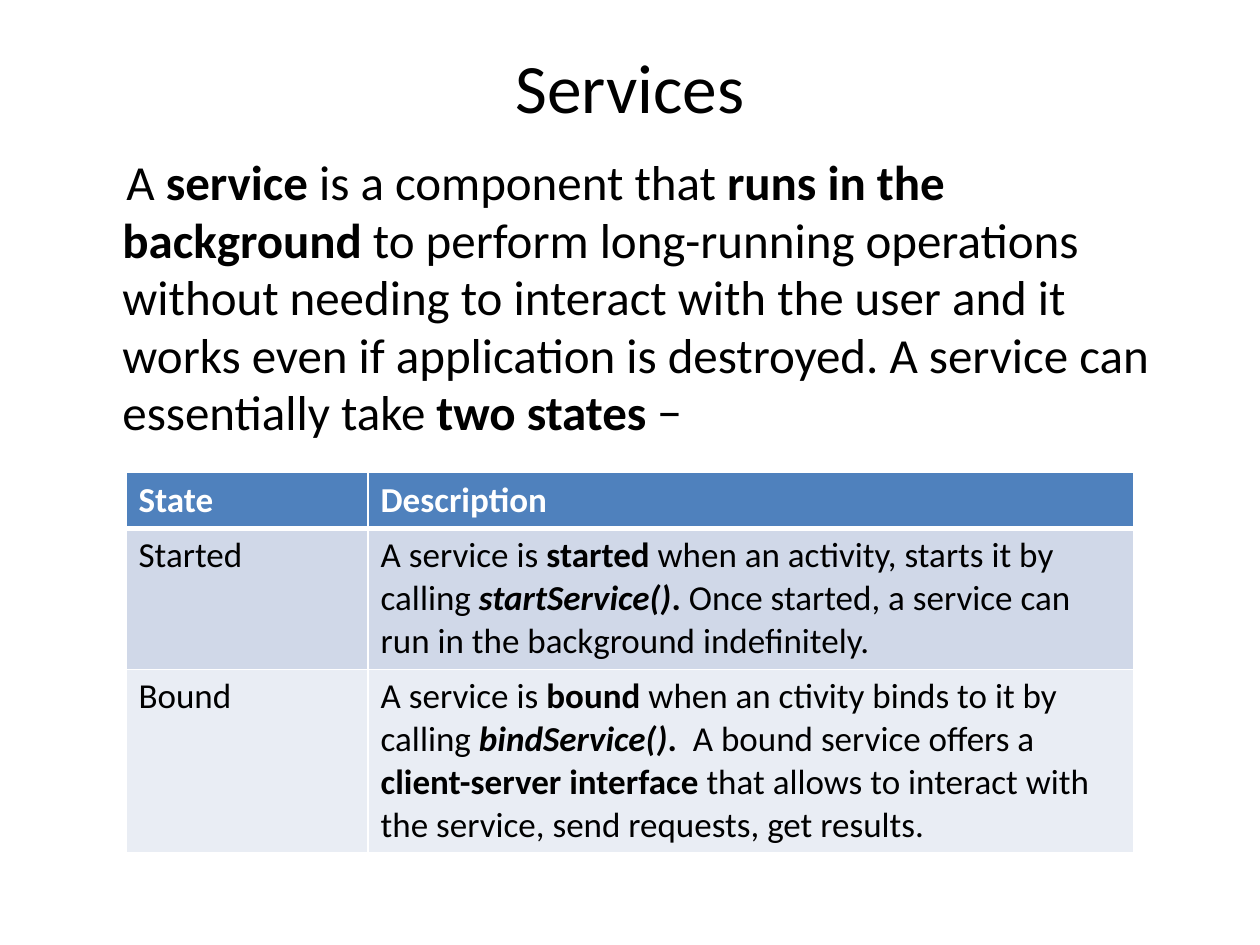
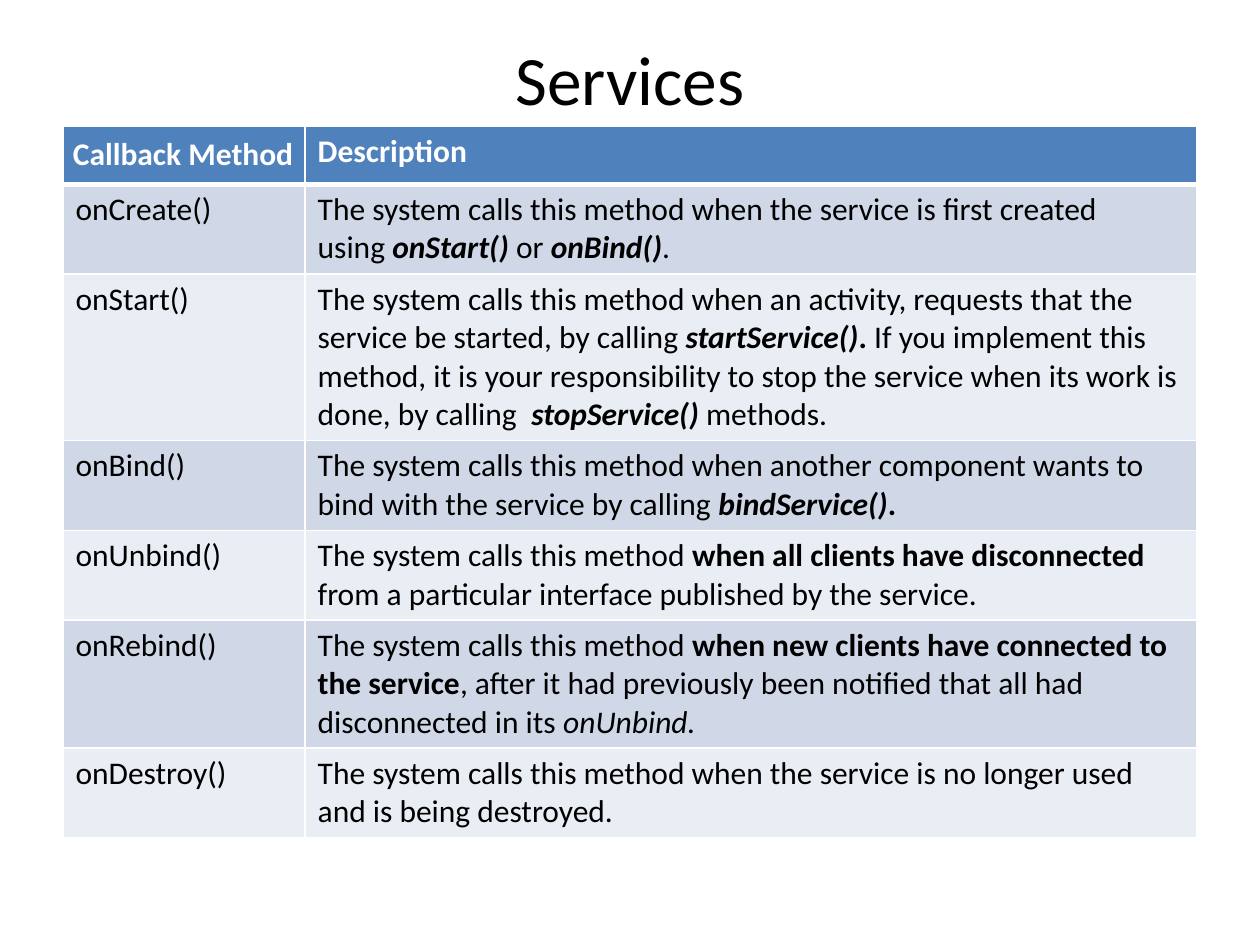
from dataclasses import dataclass

from lxml.etree import SubElement
from pptx import Presentation
from pptx.dml.color import RGBColor as Rgb
from pptx.enum.text import MSO_ANCHOR as Anchor, PP_ALIGN as Align
from pptx.oxml.ns import qn
from pptx.util import Cm, Pt

# Content: a run is plain text or (text, style); "~" stands for a no-break space
INTRO = [
    "A ", ("service", "b"), "~is a component that ", ("runs in the background ", "b"),
    "to perform long-running operations without needing to interact with the user "
    "and it works even if application is destroyed. A service can essentially take ",
    ("two states ", "b"), "−",
]

# Body rows: first cell, description runs, lines the description fills
STATES = [
    ("Started", [
        "A service is~", ("started", "b"), "~when an activity, starts it by calling~",
        ("startService()", "bi"), (".", "b"),
        "~Once started, a service can run in the background indefinitely."], 3),
    ("Bound", [
        "A service is~", ("bound", "b"), "~when an ctivity binds to it by calling~",
        ("bindService()", "bi"), (".~ ", "b"), "A bound service offers a ",
        ("client-server interface ", "b"),
        "that allows to interact with the service, send requests, get results."], 4),
]

CALLBACKS = [
    ("onCreate()", [
        "The system calls this method when the service is first created using~",
        ("onStart()", "bi"), "~or~", ("onBind()", "bi"), "."], 2),
    ("onStart()", [
        "The system calls this method~when an activity, requests that the service "
        "be started, by calling~", ("startService()", "bi"), (". ", "b"),
        "If you implement this method, it is your responsibility to stop the service "
        "when its work is done, by calling~~", ("stopService()", "bi"), "~methods."], 4),
    ("onBind()", [
        "The system calls this method when another component wants to bind with the "
        "service by calling~", ("bindService()", "bi"), (".", "b")], 2),
    ("onUnbind()", [
        "The system calls this method ", ("when all clients have disconnected ", "b"),
        "from a particular interface published by the service."], 2),
    ("onRebind()", [
        "The system calls this method ",
        ("when new clients have connected to the service", "b"),
        ", after it had previously been notified that all had disconnected in its~",
        ("onUnbind.", "i")], 3),
    ("onDestroy()", [
        "The system calls this method when the service is no longer used "
        "and is being destroyed."], 2),
]

# Lengths in cm
SLIDES = [
    {"title": "Services", "title_top": 0.89, "intro": INTRO,
     "table": {"heads": ("State", "Description"), "rows": STATES, "size": 20,
               "left": 2.54, "top": 9.53, "columns": (4.88, 15.44), "head_pad": None}},
    {"title": "Services", "title_top": 0.74, "intro": None,
     "table": {"heads": ("Callback Method", "Description"), "rows": CALLBACKS, "size": 18,
               "left": 1.27, "top": 2.54, "columns": (4.88, 17.98), "head_pad": 0.2}},
]


@dataclass(frozen=True)
class Theme:
    font: str = "Calibri"
    ink: str = "000000"
    paper: str = "FFFFFF"
    head: str = "4F81BD"
    bands: tuple = ("D0D8E8", "E9EDF4")
    title_size: float = 39.6
    intro_size: float = 28
    leading: float = 1.22
    rule: float = 1
    head_rule: float = 3


THEME = Theme()
MARGIN, TEXT_WIDTH = 1.27, 22.86
TITLE_BOTTOM, INTRO_TOP, INTRO_HEIGHT = 3.94, 2.74, 14.27
CELL_PAD = 0.13
CM_PER_PT = 2.54 / 72


def apply_formats(target, formats):
    for name, value in formats.items():
        setattr(target, name, value)


def write_runs(paragraph, runs, size, color=THEME.ink):
    for part in runs:
        words, style = (part, "") if isinstance(part, str) else part
        run = paragraph.add_run()
        run.text = words.replace("~", chr(160))
        apply_formats(run.font, {"name": THEME.font, "size": Pt(size),
                                 "bold": "b" in style, "italic": "i" in style})
        run.font.color.rgb = Rgb.from_string(color)


def add_text(slide, top, height, runs, size, frame_formats, paragraph_formats):
    frame = slide.shapes.add_textbox(
        Cm(MARGIN), Cm(top), Cm(TEXT_WIDTH), Cm(height)).text_frame
    apply_formats(frame, {"word_wrap": True, **frame_formats})
    paragraph = frame.paragraphs[0]
    apply_formats(paragraph, paragraph_formats)
    write_runs(paragraph, runs, size)
    return paragraph


def draw_border(cell, side, width):
    line = SubElement(cell._tc.get_or_add_tcPr(), qn(f"a:ln{side}"), w=str(Pt(width)))
    fill = SubElement(line, qn("a:solidFill"))
    SubElement(fill, qn("a:srgbClr"), val=THEME.paper)


def fill_cell(cell, runs, size, color, back, row):
    widths = {"L": THEME.rule, "R": THEME.rule,
              "T": THEME.head_rule if row == 1 else THEME.rule,
              "B": THEME.head_rule if row == 0 else THEME.rule}
    for side, width in widths.items():
        draw_border(cell, side, width)
    cell.fill.solid()
    cell.fill.fore_color.rgb = Rgb.from_string(back)
    write_runs(cell.text_frame.paragraphs[0], runs, size, color)


def add_service_table(slide, heads, rows, size, left, top, columns, head_pad):
    # Row heights follow from the number of text lines
    line = size * THEME.leading * CM_PER_PT
    heights = [line + 2 * (head_pad or CELL_PAD)]
    heights += [lines * line + 2 * CELL_PAD for _, _, lines in rows]
    grid = slide.shapes.add_table(len(heights), len(columns), Cm(left), Cm(top),
                                  Cm(sum(columns)), Cm(sum(heights))).table
    apply_formats(grid, {"first_row": True, "horz_banding": False})
    for column, width in zip(grid.columns, columns):
        column.width = Cm(width)
    for row, height in zip(grid.rows, heights):
        row.height = Cm(height)

    # Header, then banded body
    for col, head in enumerate(heads):
        fill_cell(grid.cell(0, col), [(head, "b")], size, THEME.paper, THEME.head, 0)
    if head_pad:
        sides = ("left", "right", "top", "bottom")
        apply_formats(grid.cell(0, 0), {f"margin_{side}": Cm(head_pad) for side in sides})
    for row, (name, description, _) in enumerate(rows, start=1):
        band = THEME.bands[(row - 1) % len(THEME.bands)]
        for col, runs in enumerate(([name], description)):
            fill_cell(grid.cell(row, col), runs, size, THEME.ink, band, row)


def add_intro(slide, runs):
    paragraph = add_text(slide, INTRO_TOP, INTRO_HEIGHT, runs, THEME.intro_size,
                         {"margin_top": Cm(0.37)}, {"line_spacing": 0.98})
    indents = paragraph._p.get_or_add_pPr()
    indents.set("marL", str(Cm(0.95)))
    indents.set("indent", str(Cm(0.08)))


def main():
    deck = Presentation()
    apply_formats(deck, {"slide_width": Cm(25.4), "slide_height": Cm(19.05)})
    for content in SLIDES:
        slide = deck.slides.add_slide(deck.slide_layouts[6])
        top = content["title_top"]
        add_text(slide, top, TITLE_BOTTOM - top, [content["title"]], THEME.title_size,
                 {"margin_top": 0, "vertical_anchor": Anchor.TOP},
                 {"alignment": Align.CENTER})
        if content["intro"]:
            add_intro(slide, content["intro"])
        add_service_table(slide, **content["table"])
    deck.save("out.pptx")


if __name__ == "__main__":
    main()
